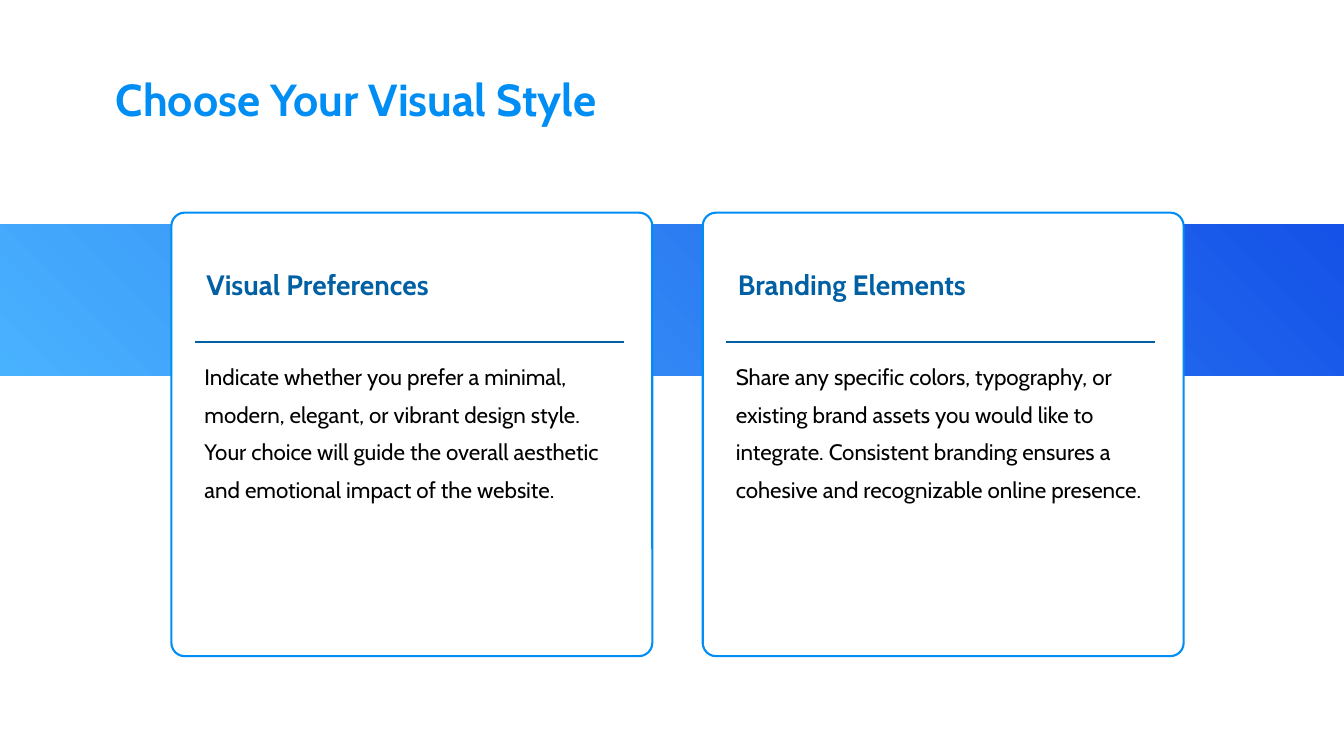
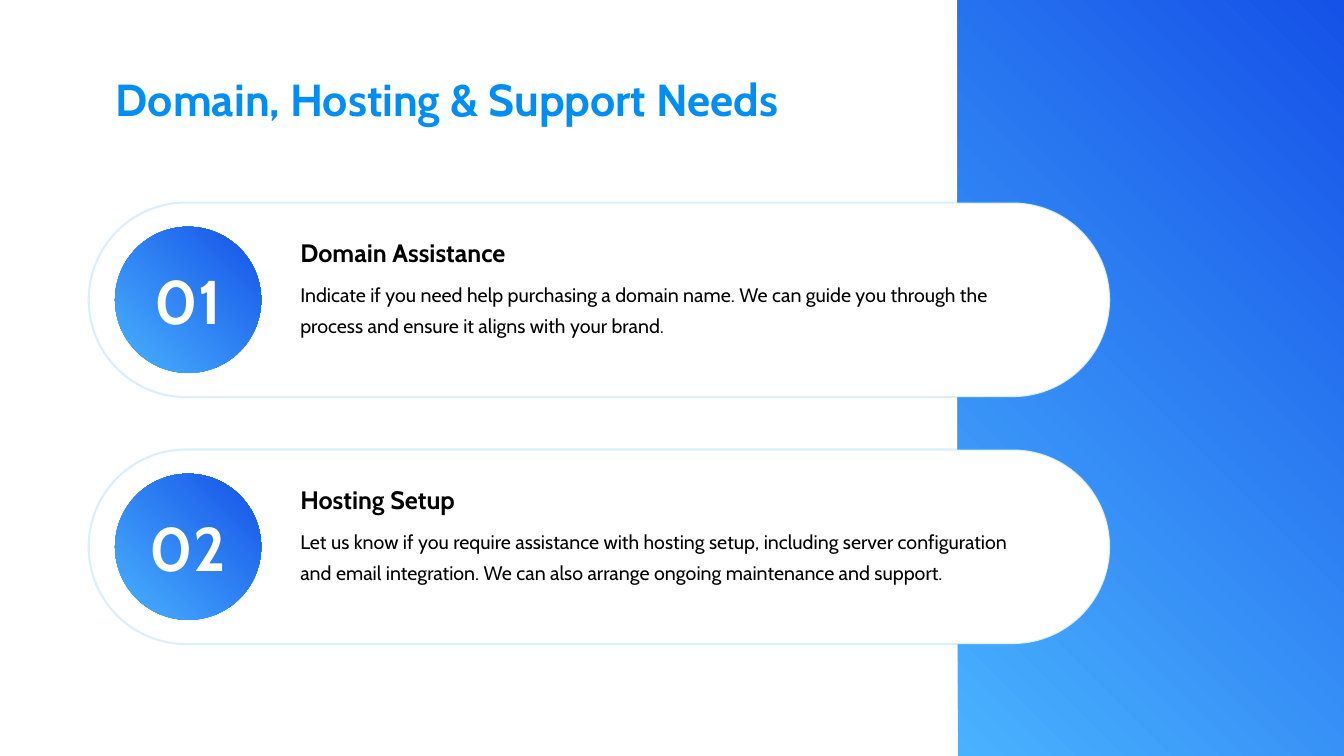
from lxml import etree
from pptx import Presentation
from pptx.dml.color import RGBColor
from pptx.enum.shapes import MSO_CONNECTOR, MSO_SHAPE
from pptx.enum.text import MSO_ANCHOR, MSO_AUTO_SIZE, PP_ALIGN
from pptx.oxml.ns import qn
from pptx.util import Inches, Pt

# Shared style
FONT = "Cabin"
SKY, BLUE, NAVY, ROYAL = "49B2FE", "018EF4", "015FA3", "1552E8"
WHITE, BLACK = "FFFFFF", "000000"
LINE_WIDTH = 1.5
RECTANGLE, ROUNDED, OVAL = MSO_SHAPE.RECTANGLE, MSO_SHAPE.ROUNDED_RECTANGLE, MSO_SHAPE.OVAL
STRAIGHT = MSO_CONNECTOR.STRAIGHT
TOP, MIDDLE = MSO_ANCHOR.TOP, MSO_ANCHOR.MIDDLE
LEFT, CENTER = PP_ALIGN.LEFT, PP_ALIGN.CENTER
NO_AUTOFIT = MSO_AUTO_SIZE.NONE
TITLE_ONLY = 5

# Slide and grid, in inches
SLIDE_WIDTH, SLIDE_HEIGHT = 13.33, 7.5
TITLE_BOX = (1.05, 0.66, 10.72, 0.64)
CARD_LEFT, CARD_TOP, CARD_WIDTH, CARD_HEIGHT = 1.7, 2.11, 4.77, 4.4
CARD_PITCH = CARD_WIDTH + 0.5
CARD_INSET, CARD_TEXT_WIDTH = 0.23, 4.26
PILL_LEFT, PILL_TOP, PILL_WIDTH, PILL_HEIGHT = 0.88, 2.01, 10.13, 1.93
PILL_PITCH = PILL_HEIGHT + 0.52
BADGE_SIZE = 1.45
PILL_TEXT_OFFSET, PILL_TEXT_WIDTH = 2, 7.41

CARDS = [
    ("Visual Preferences",
     "Indicate whether you prefer a minimal, modern, elegant, or vibrant design style. "
     "Your choice will guide the overall aesthetic and emotional impact of the website."),
    ("Branding Elements",
     "Share any specific colors, typography, or existing brand assets you would like to "
     "integrate. Consistent branding ensures a cohesive and recognizable online presence."),
]
SERVICES = [
    ("Domain Assistance",
     "Indicate if you need help purchasing a domain name. We can guide you through the "
     "process and ensure it aligns with your brand."),
    ("Hosting Setup",
     "Let us know if you require assistance with hosting setup, including server "
     "configuration and email integration. We can also arrange ongoing maintenance "
     "and support."),
]


def color(hex_string):
    return RGBColor.from_string(hex_string)


def inches(box):
    return [Inches(length) for length in box]


def write(shape, text, size, hex_color, bold=False, align=LEFT, anchor=TOP, spacing=1.0):
    """Set and format the single paragraph of a shape."""
    text_frame = shape.text_frame
    text_frame.text = text
    text_frame.word_wrap = True
    text_frame.auto_size = NO_AUTOFIT
    text_frame.vertical_anchor = anchor
    paragraph = text_frame.paragraphs[0]
    paragraph.alignment = align
    paragraph.line_spacing = spacing
    font = paragraph.runs[0].font
    font.name, font.size, font.bold = FONT, Pt(size), bold
    font.color.rgb = color(hex_color)


def add_text(slide, box, text, size, hex_color, **style):
    write(slide.shapes.add_textbox(*inches(box)), text, size, hex_color, **style)


def add_gradient_shape(slide, kind, box):
    """Shape that runs from sky blue at bottom left to royal blue at top right."""
    shape = slide.shapes.add_shape(kind, *inches(box))
    shape.shadow.inherit = False
    shape.line.fill.background()
    shape.fill.gradient()
    shape.fill.gradient_angle = 45
    for stop, hex_color in zip(shape.fill.gradient_stops, (SKY, ROYAL)):
        stop.color.rgb = color(hex_color)
    return shape


def add_panel(slide, box, rounding, line_color, opacity=100):
    """White rounded panel with a coloured outline."""
    panel = slide.shapes.add_shape(ROUNDED, *inches(box))
    panel.adjustments[0] = rounding
    panel.shadow.inherit = False
    panel.fill.solid()
    panel.fill.fore_color.rgb = color(WHITE)
    panel.line.width = Pt(LINE_WIDTH)
    panel.line.color.rgb = color(line_color)
    if opacity < 100:
        outline_color = panel.line._ln.find(".//" + qn("a:srgbClr"))
        etree.SubElement(outline_color, qn("a:alpha"), val=str(opacity * 1000))


def add_rule(slide, left, top, width):
    rule = slide.shapes.add_connector(STRAIGHT, *inches((left, top, left + width, top)))
    rule.line.width = Pt(LINE_WIDTH)
    rule.line.color.rgb = color(NAVY)
    etree.SubElement(rule._element.spPr, qn("a:effectLst"))


def add_titled_slide(presentation, title):
    slide = presentation.slides.add_slide(presentation.slide_layouts[TITLE_ONLY])
    placeholder = slide.shapes.title
    placeholder.left, placeholder.top, placeholder.width, placeholder.height = inches(TITLE_BOX)
    write(placeholder, title, 32, BLUE, bold=True)
    return slide


def add_card(slide, column, heading, body):
    left = CARD_LEFT + column * CARD_PITCH
    text_left = left + CARD_INSET
    add_panel(slide, (left, CARD_TOP, CARD_WIDTH, CARD_HEIGHT), 0.03, BLUE)
    add_rule(slide, text_left, CARD_TOP + 1.28, CARD_TEXT_WIDTH)
    add_text(slide, (text_left + 0.02, CARD_TOP + 0.49, CARD_TEXT_WIDTH, 0.44),
             heading, 20, NAVY, bold=True)
    add_text(slide, (text_left, CARD_TOP + 1.34, CARD_TEXT_WIDTH, 1.87),
             body, 16, BLACK, spacing=1.4)


def add_service(slide, row, heading, body):
    top = PILL_TOP + row * PILL_PITCH
    text_left = PILL_LEFT + PILL_TEXT_OFFSET
    add_panel(slide, (PILL_LEFT, top, PILL_WIDTH, PILL_HEIGHT), 0.5, SKY, opacity=20)
    # Numbered badge
    badge_top = top + (PILL_HEIGHT - BADGE_SIZE) / 2
    badge = add_gradient_shape(slide, OVAL, (PILL_LEFT + 0.26, badge_top, BADGE_SIZE, BADGE_SIZE))
    badge.text_frame.margin_left = badge.text_frame.margin_right = 0
    write(badge, f"{row + 1:02}", 44, WHITE, bold=True, align=CENTER, anchor=MIDDLE)
    # Heading and description
    add_text(slide, (text_left, top + 0.3, PILL_TEXT_WIDTH, 0.4), heading, 18, BLACK, bold=True)
    add_text(slide, (text_left, top + 0.68, PILL_TEXT_WIDTH, 0.75), body, 14, BLACK, spacing=1.3)


def main():
    presentation = Presentation()
    presentation.slide_width, presentation.slide_height = inches((SLIDE_WIDTH, SLIDE_HEIGHT))

    # Cards over a horizontal band
    slide = add_titled_slide(presentation, "Choose Your Visual Style")
    add_gradient_shape(slide, RECTANGLE, (0, 2.23, SLIDE_WIDTH, 1.5))
    for column, (heading, body) in enumerate(CARDS):
        add_card(slide, column, heading, body)

    # Numbered services over a side panel
    slide = add_titled_slide(presentation, "Domain, Hosting & Support Needs")
    add_gradient_shape(slide, RECTANGLE, (9.5, 0, SLIDE_WIDTH - 9.5, SLIDE_HEIGHT))
    for row, (heading, body) in enumerate(SERVICES):
        add_service(slide, row, heading, body)

    presentation.save("out.pptx")


if __name__ == "__main__":
    main()
